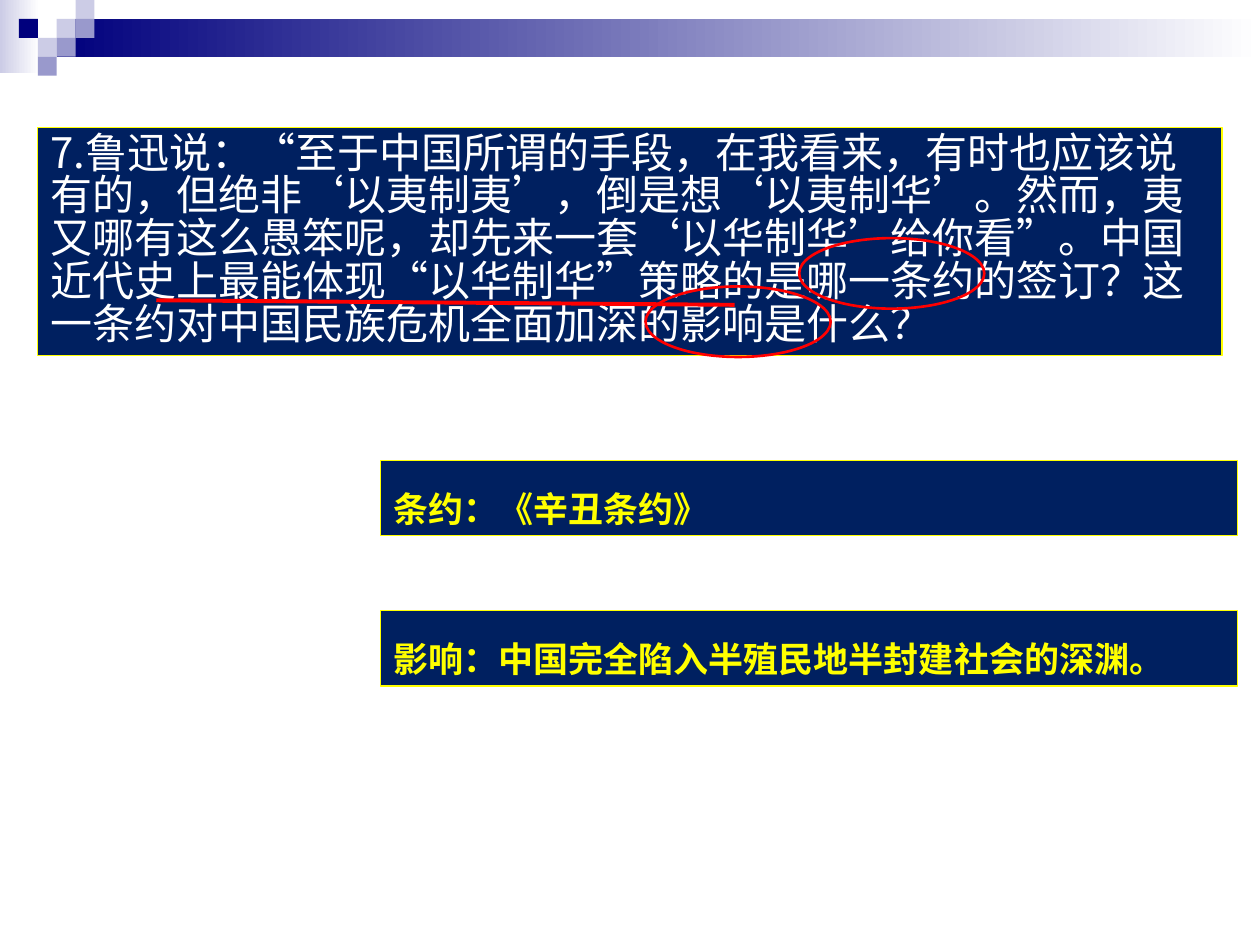
"""Build a history quiz slide with a question and two answer bars."""
from lxml import etree
from pptx import Presentation
from pptx.dml.color import RGBColor
from pptx.enum import shapes, text
from pptx.oxml import ns
from pptx.util import Pt

FONT = "Noto Sans CJK SC"
NAVY, LILAC, MID = "00007D", "CCCCE6", "9999CC"
PANEL, GOLD, RED, WHITE = "002060", "FFFF00", "FF0000", "FFFFFF"

BANDS = [(0, 0, 22.5, 42, LILAC), (32.4, 10.8, 687.6, 21.6, NAVY)]
UNIT = 10.8
TILES = [(3, 1, LILAC), (4, 0, LILAC), (4, 1, MID), (2, 2, LILAC),
         (1, 1, NAVY), (3, 2, MID), (2, 3, MID)]

ASK = ("7.鲁迅说：“至于中国所谓的手段，在我看来，有时也应该说有的，"
       "但绝非‘以夷制夷’，倒是想‘以夷制华’。然而，夷又哪有这么愚笨呢，"
       "却先来一套‘以华制华’给你看”。中国近代史上最能体现“以华制华”策略的是"
       "哪一条约的签订？这一条约对中国民族危机全面加深的影响是什么？")
PANELS = [
    ((21.6, 72.9, 676.8, 130.3), ASK, 24, WHITE, False, 0.85),
    ((217.6, 263, 489.6, 43.2), "条约：《辛丑条约》", 20, GOLD, True, 1.5),
    ((217.6, 348.8, 489.6, 43.2), "影响：中国完全陷入半殖民地半封建社会的深渊。",
     20, GOLD, True, 1.5),
]
RINGS = [(456.7, 136.1), (368.9, 163.7)]
RING = (105.8, 40.3)
STROKE = (89.3, 171.6, 419.8, 174.2)


def rgb(code):
    return RGBColor.from_string(code)


def add(kind, box, fill=None, line=None, width=0.75):
    shape = slide.shapes.add_shape(kind, *map(Pt, box))
    shape.shadow.inherit = False
    if fill:
        shape.fill.solid()
        shape.fill.fore_color.rgb = rgb(fill)
    else:
        shape.fill.background()
    if line:
        shape.line.color.rgb = rgb(line)
        shape.line.width = Pt(width)
    else:
        shape.line.fill.background()
    return shape


def fade(shape, start):
    shape.fill.gradient()
    shape.fill.gradient_angle = 0
    for stop, code, place in zip(shape.fill.gradient_stops, (start, WHITE), (0, 1)):
        stop.color.rgb = rgb(code)
        stop.position = place


def write(shape, words, size, color, bold, space):
    frame = shape.text_frame
    frame.word_wrap = True
    frame.vertical_anchor = text.MSO_ANCHOR.TOP
    para = frame.paragraphs[0]
    para.alignment = text.PP_ALIGN.LEFT
    para.line_spacing = space
    run = para.add_run()
    run.text = words
    font = run.font
    font.name, font.size, font.bold = FONT, Pt(size), bold
    font.color.rgb = rgb(color)
    east = etree.SubElement(run._r.get_or_add_rPr(), ns.qn("a:ea"))
    east.set("typeface", FONT)


deck = Presentation()
deck.slide_width, deck.slide_height = Pt(720), Pt(540)
slide = deck.slides.add_slide(deck.slide_layouts[6])
RECT, OVAL = shapes.MSO_SHAPE.RECTANGLE, shapes.MSO_SHAPE.OVAL

for *box, code in BANDS:
    fade(add(RECT, box, code), code)
for col, row, code in TILES:
    add(RECT, (col * UNIT, row * UNIT, UNIT, UNIT), code)
for box, *style in PANELS:
    write(add(RECT, box, PANEL, GOLD), *style)
for spot in RINGS:
    add(OVAL, spot + RING, line=RED, width=1.5)

stroke = slide.shapes.add_connector(shapes.MSO_CONNECTOR.STRAIGHT, *map(Pt, STROKE))
stroke.line.color.rgb = rgb(RED)
stroke.line.width = Pt(2.25)
etree.SubElement(stroke._element.spPr, ns.qn("a:effectLst"))

deck.save("out.pptx")
